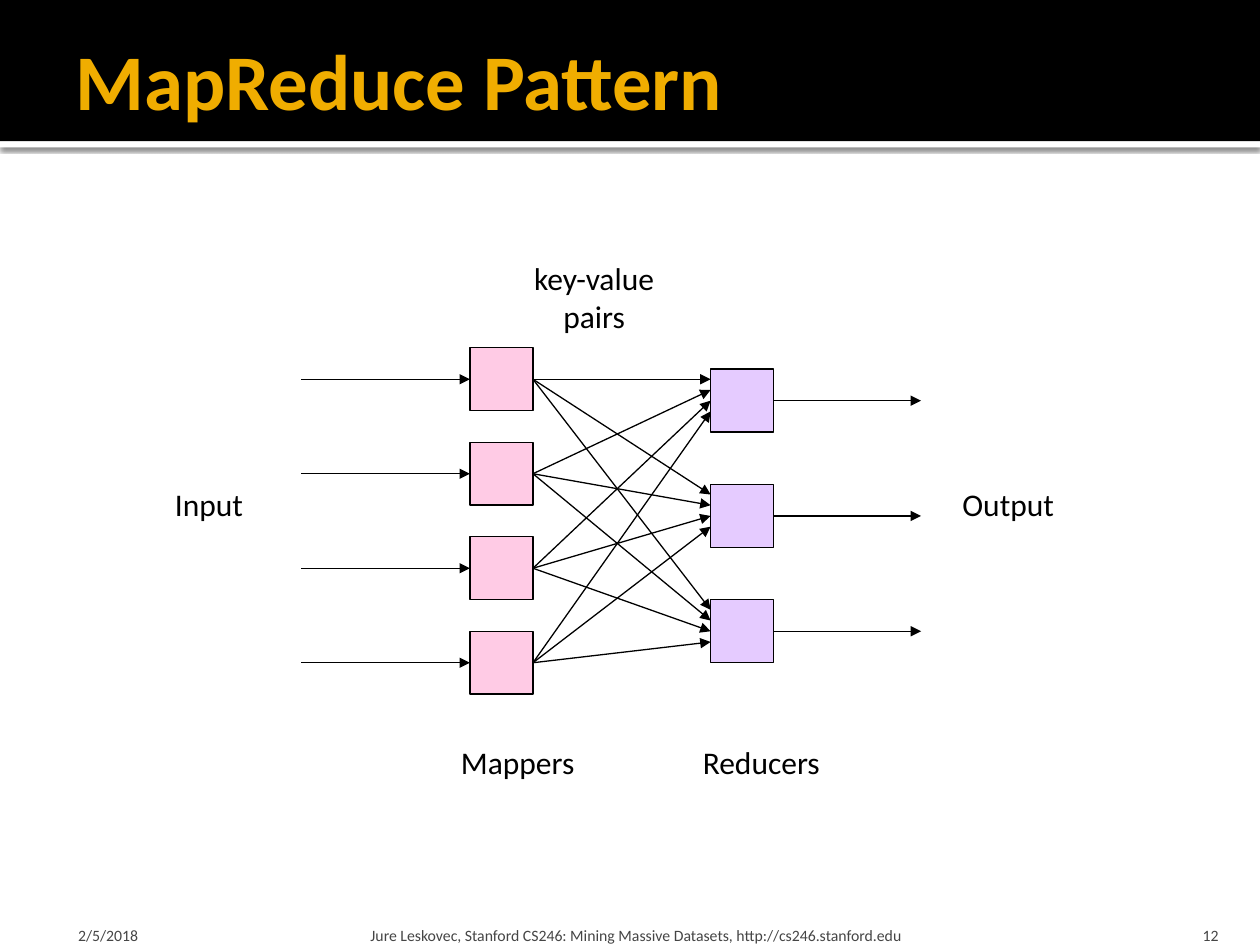
"""Build the MapReduce pattern slide on a grid of 20 columns by 15 rows."""
from lxml.etree import SubElement
from pptx import Presentation
from pptx.dml.color import RGBColor
from pptx.enum.shapes import MSO_CONNECTOR, MSO_SHAPE
from pptx.enum.text import MSO_ANCHOR, PP_ALIGN
from pptx.oxml.ns import qn
from pptx.util import Inches, Pt

HUES = {"ink": "000000", "paper": "FFFFFF", "gold": "F0AD00",
        "pink": "FF99CC", "lilac": "CC99FF", "grey": "454545"}
TONES = {name: RGBColor.from_string(code) for name, code in HUES.items()}

deck = Presentation()
deck.slide_width, deck.slide_height = Inches(10), Inches(7.5)
unit = deck.slide_width / 20
slide = deck.slides.add_slide(deck.slide_layouts[5])
shapes = slide.shapes


def grid(*cells):
    """Turn grid steps into lengths."""
    return [round(cell * unit) for cell in cells]


def write(box, text, size, hue, align=PP_ALIGN.LEFT, bold=False):
    """Fill a text frame and format its paragraphs."""
    frame = box.text_frame
    frame.text = text
    for para in frame.paragraphs:
        para.alignment = align
        para.font.name, para.font.size = "Calibri", Pt(size)
        para.font.bold, para.font.color.rgb = bold, TONES[hue]
    return frame


for top, tall, hue in [(2.24, 0.1, "paper"), (0, 2.24, "ink")]:
    band = shapes.add_shape(MSO_SHAPE.RECTANGLE, *grid(0, top, 20, tall))
    band.fill.solid()
    band.fill.fore_color.rgb = TONES[hue]
    band.line.fill.background()
    band.shadow.inherit = False
    if hue == "paper":
        glow = band.element.spPr.find(qn("a:effectLst"))
        shade = SubElement(glow, qn("a:outerShdw"), blurRad=str(Pt(2.5)),
                           dist=str(Pt(0.8)), dir="5400000", algn="tl", rotWithShape="0")
        tint = SubElement(shade, qn("a:srgbClr"), val=HUES["ink"])
        SubElement(tint, qn("a:alpha"), val="60000")

title = shapes.title
title.element.getparent().append(title.element)
title.left, title.top, title.width, title.height = grid(1, 0.34, 18, 1.84)
frame = write(title, "MapReduce Pattern", 45, "gold", bold=True)
frame.vertical_anchor = MSO_ANCHOR.MIDDLE
frame.margin_right = Inches(0.05)

nodes = {}
for kind, left, top, step, count, hue in [("map", 7.46, 5.52, 1.5, 4, "pink"),
                                          ("reduce", 11.28, 5.86, 1.83, 3, "lilac")]:
    nodes[kind] = []
    for row in range(count):
        node = shapes.add_shape(MSO_SHAPE.RECTANGLE, *grid(left, top + row * step, 1, 1))
        node.fill.solid()
        node.fill.fore_color.rgb = TONES[hue]
        SubElement(node.fill.fore_color._xFill.find(qn("a:srgbClr")), qn("a:alpha"), val="50000")
        node.line.color.rgb, node.line.width = TONES["ink"], Pt(0.75)
        node.shadow.inherit = False
        nodes[kind].append(node)

wires = []
start, end, gap = grid(4.78, 14.62, 0.17)
for row, src in enumerate(nodes["map"]):
    mid = src.top + src.height // 2
    wires.append((None, src, start, mid, src.left, mid))
    for dest in nodes["reduce"]:
        goal = dest.top + dest.height // 2 + (row - 2) * gap
        wires.append((src, dest if row == 2 else None, src.left + src.width, mid, dest.left, goal))
for src in nodes["reduce"]:
    mid = src.top + src.height // 2
    wires.append((src, None, src.left + src.width, mid, end, mid))

for src, dest, *ends in wires:
    wire = shapes.add_connector(MSO_CONNECTOR.STRAIGHT, *ends)
    if src:
        wire.begin_connect(src, 3)
    if dest:
        wire.end_connect(dest, 1)
    wire.line.color.rgb, wire.line.width = TONES["ink"], Pt(0.75)
    SubElement(wire.line._get_or_add_ln(), qn("a:tailEnd"), type="triangle")
    SubElement(wire.element.spPr, qn("a:effectLst"))

for text, left, top, wide, tall, align in [
        ("Mappers", 7.12, 11.7, 2.22, 0.8, PP_ALIGN.LEFT),
        ("Reducers", 10.96, 11.7, 2.32, 0.8, PP_ALIGN.LEFT),
        ("Input", 2.58, 7.6, 1.5, 0.8, PP_ALIGN.LEFT),
        ("Output", 15.08, 7.6, 1.92, 0.8, PP_ALIGN.LEFT),
        ("key-value\npairs", 8.22, 4.02, 2.42, 1.42, PP_ALIGN.CENTER)]:
    label = shapes.add_textbox(*grid(left, top, wide, tall))
    write(label, text, 18, "ink", align).word_wrap = False

for text, left, wide, inset, align in [
        ("2/5/2018", 1, 4.66, 0.12, PP_ALIGN.LEFT),
        ("Jure Leskovec, Stanford CS246: Mining Massive Datasets, http://cs246.stanford.edu",
         5.78, 12.04, 0.05, PP_ALIGN.LEFT),
        ("12", 17.94, 1.6, 0.1, PP_ALIGN.RIGHT)]:
    note = shapes.add_textbox(*grid(left, 14.4, wide, 0.6))
    frame = write(note, text, 9, "grey", align)
    frame.word_wrap, frame.vertical_anchor = True, MSO_ANCHOR.BOTTOM
    frame.margin_left = frame.margin_right = Inches(inset)
    frame.margin_bottom = 0

deck.save("out.pptx")
